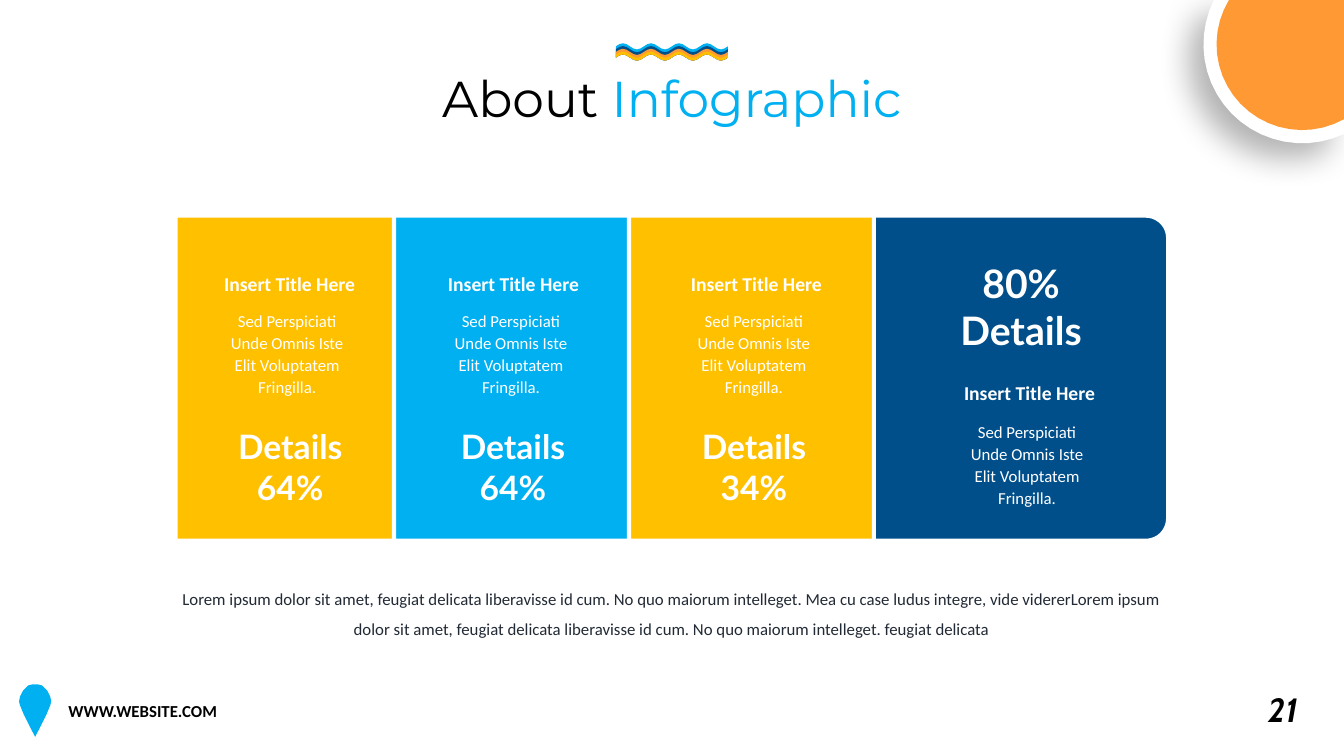
import math
from dataclasses import dataclass

from lxml import etree
from pptx import Presentation
from pptx.dml.color import RGBColor
from pptx.enum.shapes import MSO_SHAPE
from pptx.enum.text import MSO_ANCHOR, MSO_AUTO_SIZE, PP_ALIGN
from pptx.oxml.ns import qn
from pptx.util import Pt

CENTER, LEFT = PP_ALIGN.CENTER, PP_ALIGN.LEFT
PANEL_SHAPE = MSO_SHAPE.ROUND_2_SAME_RECTANGLE
TOP, GROW = MSO_ANCHOR.TOP, MSO_AUTO_SIZE.SHAPE_TO_FIT_TEXT

BLACK, WHITE, SLATE = "000000", "FFFFFF", "222A35"
SKY, NAVY, ORANGE, YELLOW = "00B0F0", "004F8A", "FF9933", "FFC000"

SLIDE_WIDTH, SLIDE_HEIGHT = 960, 540
PANEL_TOP, PANEL_HEIGHT, CORNER = 154, 232.3, 16
WAVE_LEFT, WAVE_MIDDLE, WAVE_COUNT = 440, 33.1, 4
WAVE_PERIOD, WAVE_AMPLITUDE, BAND_STEP = 20, 2.2, 2
STEPS_PER_WAVE, STEPS_PER_ARC = 8, 20
DISC_X, DISC_Y = 930.2, 31.7
PIN_X = 25.1
PIN_HALF = [(0, 488.9), (2.2, 488.9), (5, 489.6), (8.6, 493.2), (10.8, 497.5),
            (11.5, 501.2), (10.8, 503.8), (8.3, 509.9), (3.6, 519.4), (0, 526.3)]

HEADING = "Insert Title Here"
BLURB = "Sed Perspiciati Unde Omnis Iste Elit Voluptatem Fringilla."
SUMMARY = (
    "Lorem ipsum dolor sit amet, feugiat delicata liberavisse id cum. "
    "No quo maiorum intelleget. Mea cu case ludus integre, vide vidererLorem ipsum "
    "dolor sit amet, feugiat delicata liberavisse id cum. "
    "No quo maiorum intelleget. feugiat delicata"
)


@dataclass(frozen=True)
class Box:
    left: float
    top: float
    width: float
    height: float


@dataclass(frozen=True)
class Style:
    font: str
    size: float
    color: str
    bold: bool = False
    italic: bool = False
    align: PP_ALIGN = CENTER
    spacing: float = 1.0
    before: float = 0
    wrap: bool = True


@dataclass(frozen=True)
class Panel:
    left: float
    width: float
    color: str
    text_left: float
    heading_top: float
    blurb_top: float
    figure: Box
    figure_lines: tuple[str, str]
    figure_size: float


PANELS = [
    Panel(125.3, 267.1, YELLOW, 152.6, 190.8, 216.7,
          Box(144.7, 301, 125.3, 65.5), ("Details", "64%"), 24),
    Panel(281.5, 265, SKY, 312.5, 190.8, 216.7,
          Box(303.8, 301, 125.3, 65.5), ("Details", "64%"), 24),
    Panel(449.3, 265, YELLOW, 486, 190.8, 216.7,
          Box(475.9, 301, 125.3, 65.5), ("Details", "34%"), 24),
    Panel(624.2, 210.2, NAVY, 681.1, 268.6, 295.9,
          Box(666.7, 181.4, 125.3, 74.9), ("80%", "Details"), 28),
]
HEADING_STYLE = Style("Calibri", 14, WHITE, bold=True, wrap=False)
BLURB_STYLE = Style("Calibri", 12, WHITE, spacing=1.1)
SUMMARY_STYLE = Style("Calibri", 12, SLATE, spacing=1.5, before=8)
WEBSITE_STYLE = Style("Calibri", 12, BLACK, bold=True, align=LEFT)
NUMBER_STYLE = Style("Cabin", 24, BLACK, bold=True, italic=True, align=LEFT, wrap=False)


def rgb(color: str) -> RGBColor:
    return RGBColor.from_string(color)


def paint(shape, color: str) -> None:
    shape.shadow.inherit = False
    shape.fill.solid()
    shape.fill.fore_color.rgb = rgb(color)


def add_outline(slide, points: list[tuple[float, float]], color: str):
    corners = [(Pt(x), Pt(y)) for x, y in points]
    builder = slide.shapes.build_freeform(*corners[0])
    builder.add_line_segments(corners[1:], close=True)
    shape = builder.convert_to_shape()
    paint(shape, color)
    shape.line.fill.background()
    return shape


def add_text(slide, box: Box, lines: tuple[str, ...], style: Style) -> None:
    shape = slide.shapes.add_textbox(
        Pt(box.left), Pt(box.top), Pt(box.width), Pt(box.height))
    frame = shape.text_frame
    frame.text = "\n".join(lines)
    frame.word_wrap = style.wrap
    frame.auto_size = GROW
    for paragraph in frame.paragraphs:
        paragraph.alignment = style.align
        paragraph.line_spacing = style.spacing
        paragraph.space_before = Pt(style.before)
        font = paragraph.font
        font.name, font.size = style.font, Pt(style.size)
        font.bold, font.italic = style.bold, style.italic
        font.color.rgb = rgb(style.color)


def add_title(slide) -> None:
    title = slide.shapes.title
    title.left, title.top, title.width, title.height = Pt(295.2), Pt(44.6), Pt(369.4), Pt(51)
    frame = title.text_frame
    frame.word_wrap, frame.auto_size, frame.vertical_anchor = False, GROW, TOP
    paragraph = frame.paragraphs[0]
    paragraph.alignment = CENTER
    paragraph.font.name, paragraph.font.size = "Montserrat", Pt(36)
    for text, color in (("About ", BLACK), ("Infographic", SKY)):
        run = paragraph.add_run()
        run.text = text
        run.font.color.rgb = rgb(color)


def add_disc(slide, radius: float, color: str):
    """Draw a disc cut off at the right and top edges of the slide."""
    start = math.acos((SLIDE_WIDTH - DISC_X) / radius)
    end = math.pi + math.asin(DISC_Y / radius)
    angles = [start + (end - start) * step / STEPS_PER_ARC
              for step in range(STEPS_PER_ARC + 1)]
    arc = [(DISC_X + radius * math.cos(angle), DISC_Y + radius * math.sin(angle))
           for angle in angles]
    return add_outline(slide, arc + [(SLIDE_WIDTH, 0)], color)


def add_soft_shadow(shape) -> None:
    effects = shape._element.spPr.find(qn("a:effectLst"))
    shadow = etree.SubElement(effects, qn("a:outerShdw"), blurRad=str(Pt(23)),
                              dist=str(Pt(15)), dir="8100000", rotWithShape="0")
    color = etree.SubElement(shadow, qn("a:srgbClr"), val=BLACK)
    etree.SubElement(color, qn("a:alpha"), val="29000")


def wave_edge(offset: float) -> list[tuple[float, float]]:
    turns = [step / STEPS_PER_WAVE for step in range(WAVE_COUNT * STEPS_PER_WAVE + 1)]
    return [(WAVE_LEFT + WAVE_PERIOD * turn,
             WAVE_MIDDLE + offset - WAVE_AMPLITUDE * math.sin(math.tau * turn))
            for turn in turns]


def add_panel(slide, panel: Panel) -> None:
    """Turn the shape a quarter so that its rounded corners face right."""
    shift = (panel.width - PANEL_HEIGHT) / 2
    shape = slide.shapes.add_shape(
        PANEL_SHAPE, Pt(panel.left + shift), Pt(PANEL_TOP - shift),
        Pt(PANEL_HEIGHT), Pt(panel.width))
    shape.rotation = 90
    shape.adjustments[0] = CORNER / min(PANEL_HEIGHT, panel.width)
    paint(shape, panel.color)
    shape.line.color.rgb = rgb(WHITE)
    shape.line.width = Pt(3)


def main() -> None:
    presentation = Presentation()
    presentation.slide_width, presentation.slide_height = Pt(SLIDE_WIDTH), Pt(SLIDE_HEIGHT)
    slide = presentation.slides.add_slide(presentation.slide_layouts[5])

    # Title, corner disc and wave
    add_title(slide)
    add_soft_shadow(add_disc(slide, 70.6, WHITE))
    add_disc(slide, 61.2, ORANGE)
    bands = (SKY, NAVY, ORANGE, YELLOW)
    lower_edge = wave_edge(len(bands) * BAND_STEP)[::-1]
    for index, color in enumerate(bands):
        add_outline(slide, wave_edge(index * BAND_STEP) + lower_edge, color)

    # Overlapping panels, then their texts
    for panel in PANELS:
        add_panel(slide, panel)
    for panel in PANELS:
        add_text(slide, Box(panel.text_left, panel.heading_top, 108.7, 24.5),
                 (HEADING,), HEADING_STYLE)
        add_text(slide, Box(panel.text_left, panel.blurb_top, 105.1, 70.6),
                 (BLURB,), BLURB_STYLE)
        add_text(slide, panel.figure, panel.figure_lines,
                 Style("Lato", panel.figure_size, WHITE, bold=True))
    add_text(slide, Box(116.6, 409.7, 726.5, 49), (SUMMARY,), SUMMARY_STYLE)

    # Footer
    right = [(PIN_X + x, y) for x, y in PIN_HALF]
    left = [(PIN_X - x, y) for x, y in PIN_HALF[-2:0:-1]]
    add_outline(slide, right + left, SKY)
    add_text(slide, Box(41.8, 496.8, 182.2, 21.6), ("WWW.WEBSITE.COM",), WEBSITE_STYLE)
    add_text(slide, Box(898.6, 488.9, 42.5, 36), ("21",), NUMBER_STYLE)

    presentation.save("out.pptx")


if __name__ == "__main__":
    main()
